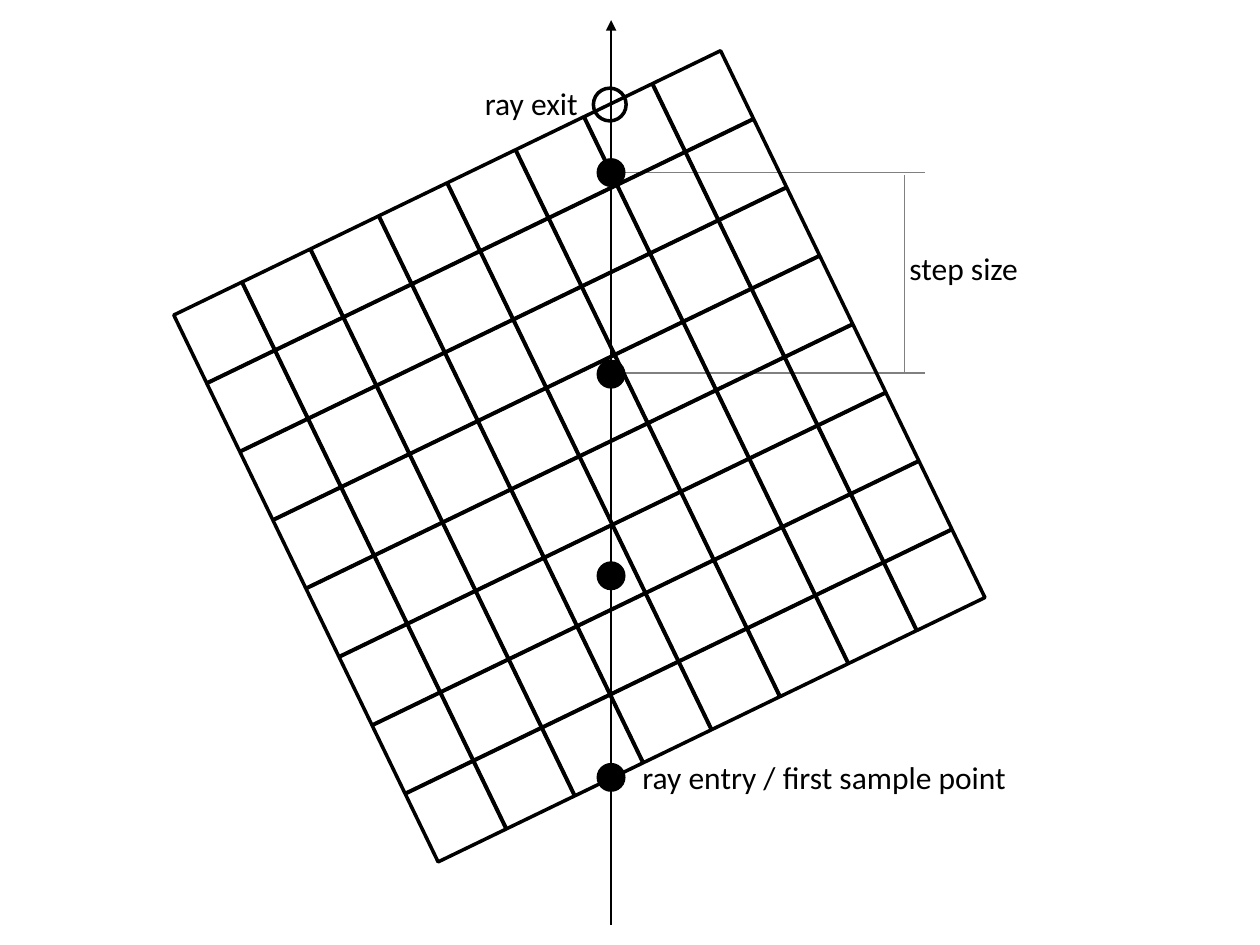
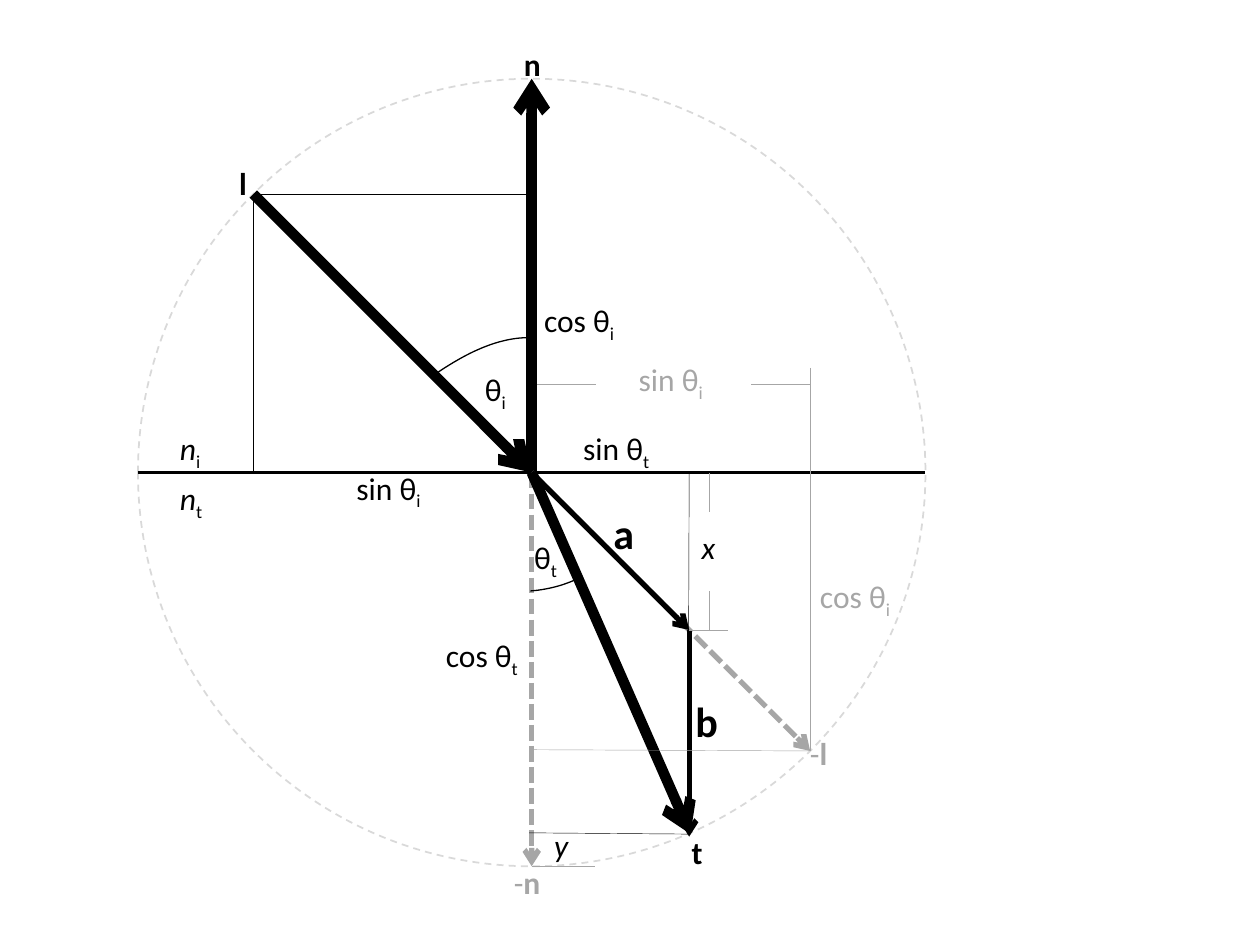
import math

import lxml.etree
import pptx
import pptx.dml.color
import pptx.enum.dml
import pptx.enum.shapes
import pptx.enum.text
import pptx.oxml.ns
import pptx.util

Inches = pptx.util.Inches
SHAPE = pptx.enum.shapes.MSO_SHAPE
DASH = pptx.enum.dml.MSO_LINE

BLACK, GRAY, SILVER, PALE = "000000", "808080", "A6A6A6", "D9D9D9"
FONT = "Calibri"


def rgb(value):
    return pptx.dml.color.RGBColor.from_string(value)


def add_run(paragraph, text, size=18, color=BLACK, bold=False, italic=False, subscript=False):
    run = paragraph.add_run()
    run.text = text
    run.font.name = FONT
    run.font.size = pptx.util.Pt(size)
    run.font.color.rgb = rgb(color)
    run.font.bold = bold
    run.font.italic = italic
    if subscript:
        run._r.get_or_add_rPr().set("baseline", "-25000")


class Diagram:
    def __init__(self, deck):
        self.slide = deck.slides.add_slide(deck.slide_layouts[6])

    def stroke(self, line, color, width, dash=None):
        line.color.rgb = rgb(color)
        line.width = pptx.util.Pt(width)
        if dash:
            line.dash_style = dash

    def line(self, start, end, color=BLACK, width=0.25, dash=None, arrow=None):
        connector = self.slide.shapes.add_connector(
            pptx.enum.shapes.MSO_CONNECTOR.STRAIGHT, *map(Inches, start + end))
        self.stroke(connector.line, color, width, dash)
        if arrow:
            lxml.etree.SubElement(connector.line._get_or_add_ln(),
                                  pptx.oxml.ns.qn("a:tailEnd"), type=arrow)
        lxml.etree.SubElement(connector._element.spPr, pptx.oxml.ns.qn("a:effectLst"))

    def shape(self, kind, center, size, fill=None, width=None, color=BLACK,
              dash=None, rotation=0, group=None):
        x, y = center
        shape = (group or self.slide).shapes.add_shape(
            kind, Inches(x - size / 2), Inches(y - size / 2), Inches(size), Inches(size))
        shape.rotation = rotation
        shape.shadow.inherit = False
        if fill:
            shape.fill.solid()
            shape.fill.fore_color.rgb = rgb(fill)
        else:
            shape.fill.background()
        if width:
            self.stroke(shape.line, color, width, dash)
        else:
            shape.line.fill.background()

    def curve(self, start, control_1, control_2, end, steps=24):
        points = []
        for step in range(steps + 1):
            t = step / steps
            weights = ((1 - t) ** 3, 3 * t * (1 - t) ** 2, 3 * t * t * (1 - t), t ** 3)
            points.append([Inches(sum(w * p for w, p in zip(weights, axis)))
                           for axis in zip(start, control_1, control_2, end)])
        builder = self.slide.shapes.build_freeform(*points[0])
        builder.add_line_segments(points[1:], close=False)
        outline = builder.convert_to_shape()
        outline.shadow.inherit = False
        outline.fill.background()
        self.stroke(outline.line, BLACK, 0.75)

    def label(self, text, left, top, width, height=0.4, sign="", index="",
              size=18, color=BLACK, bold=False, italic=False):
        box = self.slide.shapes.add_textbox(*map(Inches, (left, top, width, height)))
        frame = box.text_frame
        frame.word_wrap = False
        frame.auto_size = pptx.enum.text.MSO_AUTO_SIZE.SHAPE_TO_FIT_TEXT
        paragraph = frame.paragraphs[0]
        if sign:
            add_run(paragraph, sign, size=size, color=color)
        add_run(paragraph, text, size=size, color=color, bold=bold, italic=italic)
        if index:
            add_run(paragraph, index, size=size, color=color, subscript=True)


def draw_ray_sampling(deck):
    diagram = Diagram(deck)
    ray_x, first_sample, last_sample, step_size = 4.85, 6.17, 1.37, 1.6
    for y in (last_sample + step_size - 0.01, last_sample):
        diagram.line((4.84, y), (7.34, y), GRAY, 0.75)

    cells, pitch, tilt = 8, 0.603, 25.8
    across = pitch * math.cos(math.radians(tilt))
    down = pitch * math.sin(math.radians(tilt))
    grid = diagram.slide.shapes.add_group_shape()
    for row in range(cells):
        for column in range(cells):
            center = (1.78 + column * across + row * down,
                      2.64 - column * down + row * across)
            diagram.shape(SHAPE.RECTANGLE, center, 0.6, width=2,
                          rotation=360 - tilt, group=grid)

    diagram.line((ray_x, 7.34), (ray_x, 0.16), width=1.5, arrow="triangle")
    diagram.shape(SHAPE.OVAL, (4.84, 0.83), 0.26, width=2)
    for sample in range(4):
        diagram.shape(SHAPE.OVAL, (ray_x, first_sample - sample * step_size), 0.23, fill=BLACK)
    diagram.label("ray exit", 3.75, 0.62, 0.95)
    diagram.label("ray entry / first sample point", 5, 5.97, 3.12)
    diagram.label("step size", 7.12, 1.93, 1.07)
    diagram.line((7.18, 2.96), (7.18, 1.39), GRAY, 0.75)


def draw_refraction(deck):
    diagram = Diagram(deck)
    radius = 3.125
    origin = x, y = 4.22, 3.75
    incident, mirrored = (2.01, 1.54), (6.43, 5.96)
    transmitted, a_tip = (5.48, 6.62), (5.47, 5)
    bottom = (x, y + radius)

    diagram.shape(SHAPE.OVAL, origin, 2 * radius, width=1, color=PALE, dash=DASH.DASH)
    diagram.line(origin, (x, y - radius), width=6, arrow="arrow")
    diagram.line(origin, bottom, SILVER, 3, DASH.SQUARE_DOT, "arrow")
    diagram.line((x - radius, y), (x + radius, y), width=1.5)
    diagram.line(incident, origin, width=6, arrow="arrow")
    diagram.line(origin, mirrored, SILVER, 3, DASH.SQUARE_DOT, "arrow")
    diagram.line(origin, transmitted, width=6, arrow="arrow")
    diagram.line(origin, a_tip, width=3, arrow="arrow")
    diagram.line(a_tip, (5.47, 6.64), width=3, arrow="arrow")

    diagram.curve((3.44, 2.98), (3.7, 2.8), (3.95, 2.68), (4.2, 2.68))
    diagram.curve((4.21, 4.69), (4.34, 4.68), (4.46, 4.65), (4.57, 4.6))

    for start, end in (
        (incident, (4.2, 1.54)),
        ((2.01, 3.74), incident),
        ((5.46, 6.62), (5.47, y)),
        ((5.46, 6.62), (4.2, 6.61)),
    ):
        diagram.line(start, end)
    for start, end in (
        ((6.43, 2.92), mirrored),
        ((x, 5.95), mirrored),
        ((6.43, 3.05), (5.96, 3.05)),
        ((4.73, 3.05), (4.26, 3.05)),
        (a_tip, (5.78, 5)),
        ((5.63, 5), (5.63, 4.69)),
        ((5.63, 4.06), (5.63, y)),
    ):
        diagram.line(start, end, SILVER)
    diagram.line(bottom, (4.72, bottom[1]), SILVER, 0.75)

    for name, left, top, width in (
        ("l", 1.8, 1.25, 0.26),
        ("n", 4.06, 0.31, 0.34),
        ("t", 5.39, 6.56, 0.29),
    ):
        diagram.label(name, left, top, width, bold=True)
    diagram.label("l", 6.33, 5.78, 0.34, sign="-", color=SILVER, bold=True)
    diagram.label("n", 3.98, 6.8, 0.41, sign="-", color=SILVER, bold=True)
    diagram.label("a", 4.77, 3.98, 0.37, 0.5, size=24, bold=True)
    diagram.label("b", 5.42, 5.47, 0.38, 0.5, size=24, bold=True)

    for term, index, left, top, width, color in (
        ("θ", "i", 3.75, 2.89, 0.38, BLACK),
        ("θ", "t", 4.14, 4.22, 0.39, BLACK),
        ("sin θ", "i", 2.73, 3.67, 0.72, BLACK),
        ("cos θ", "i", 4.22, 2.34, 0.77, BLACK),
        ("sin θ", "i", 4.97, 2.81, 0.72, SILVER),
        ("cos θ", "t", 3.44, 5, 0.82, BLACK),
        ("sin θ", "t", 4.53, 3.36, 0.74, BLACK),
        ("cos θ", "i", 6.41, 4.53, 0.77, SILVER),
    ):
        diagram.label(term, left, top, width, index=index, color=color)
    for name, index, left, top, width in (
        ("n", "i", 1.33, 3.36, 0.37),
        ("n", "t", 1.33, 3.75, 0.39),
        ("x", "", 5.47, 4.14, 0.31),
        ("y", "", 4.3, 6.51, 0.32),
    ):
        diagram.label(name, left, top, width, index=index, italic=True)


def main():
    deck = pptx.Presentation()
    deck.slide_width, deck.slide_height = Inches(10), Inches(7.5)
    draw_ray_sampling(deck)
    draw_refraction(deck)
    deck.save("out.pptx")


if __name__ == "__main__":
    main()
